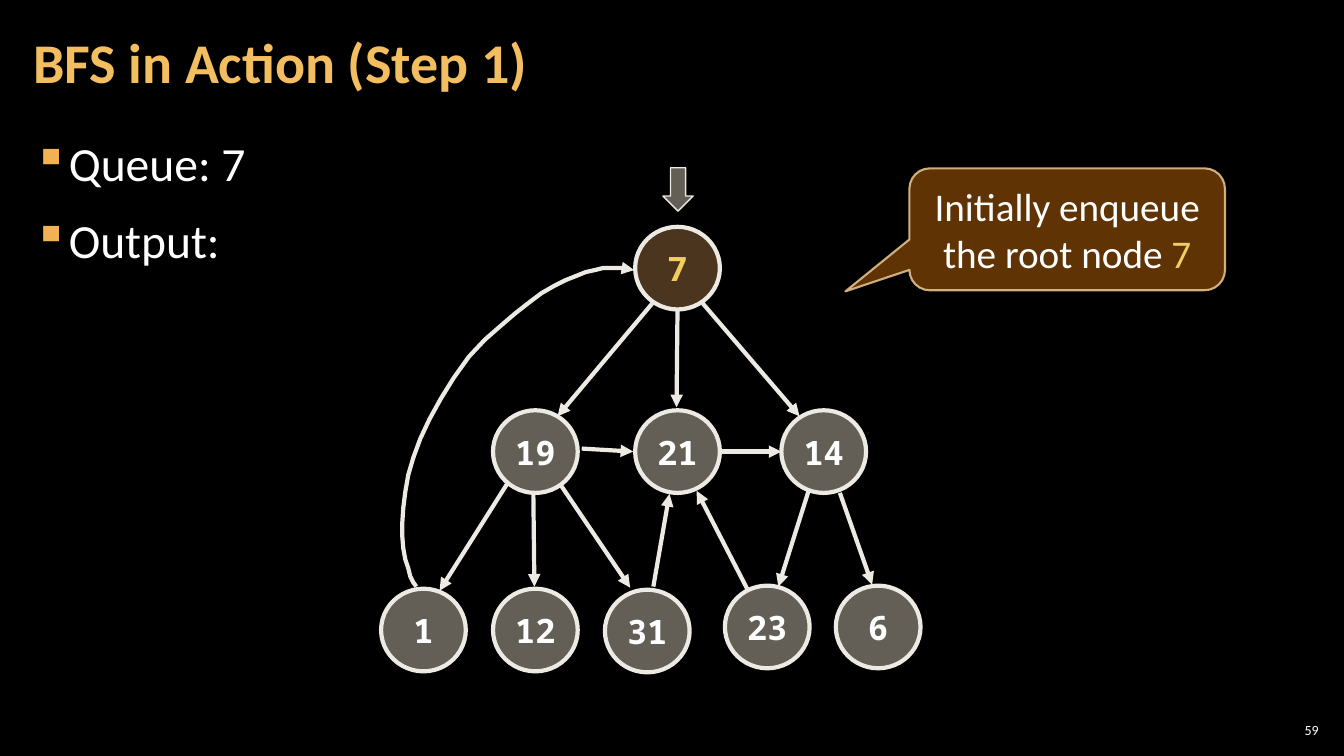
from lxml.etree import SubElement
from pptx import Presentation
from pptx.dml.color import RGBColor
from pptx.enum.shapes import MSO_CONNECTOR, MSO_SHAPE
from pptx.enum.text import MSO_ANCHOR, PP_ALIGN
from pptx.oxml.ns import qn
from pptx.util import Pt

# Content, lengths in px (100 px to the inch)
TITLE = "BFS in Action (Step 1)"
STATE = ["Queue: 7", "Output:"]
CALLOUT = [("Initially enqueue the root node ", "white"), ("7", "yellow")]
PAGE = "59"
ROOT = "7"
NODES = {  # label: left, top
    "7": (630, 225),
    "19": (489, 407), "21": (630, 407), "14": (775, 407),
    "1": (378, 584), "12": (489, 584), "31": (600, 585),
    "23": (719, 581), "6": (829, 581),
}
EDGES = {  # (parent, child): start and end
    ("7", "19"): (647, 301, 553, 413),
    ("7", "21"): (672, 306, 671, 404),
    ("7", "14"): (697, 301, 793, 413),
    ("19", "21"): (577, 445, 628, 448),
    ("21", "14"): (715, 448, 775, 448),
    ("19", "1"): (503, 480, 436, 586),
    ("19", "12"): (529, 490, 530, 582),
    ("19", "31"): (556, 481, 625, 583),
    ("14", "23"): (802, 487, 772, 582),
    ("14", "6"): (833, 489, 865, 580),
    ("31", "21"): (648, 582, 664, 490),
    ("23", "21"): (741, 584, 691, 487),
}
BACK_EDGE = [  # Bezier curves from node 1 up to the root
    [(413, 582), (398, 565), (376, 467), (465, 354)],
    [(465, 354), (554, 260), (604, 262), (629, 268)],
]
NODE_SIZE = (84, 82)
CURVE_STEPS = 16
COLORS = {
    "black": "000000", "white": "FFFFFF", "gold": "F3BE60", "bullet": "F2B254",
    "yellow": "F3CD60", "brown": "663606", "tan": "F8D49E", "root": "6C4C2C",
    "node": "C7BFAC", "edge": "ECEAE3",
}
SANS, MONO = "Calibri", "Noto Sans Mono"
PX = 9144


def px(*lengths):
    return [length * PX for length in lengths]


def rgb(name):
    return RGBColor.from_string(COLORS[name])


def set_alpha(parent, percent):
    color = next(parent.iter(qn("a:srgbClr")))
    SubElement(color, qn("a:alpha"), val=str(percent * 1000))


def style_font(font, size, color, name=SANS, bold=False):
    font.size, font.name, font.bold = Pt(size), name, bold
    font.color.rgb = rgb(color)


def style_line(line, color, width):
    line.color.rgb = rgb(color)
    line.width = Pt(width)


def add_arrowhead(line):
    SubElement(line.color._xFill.getparent(), qn("a:tailEnd"), type="triangle")


def add_filled(kind, box, fill, alpha, line, width):
    shape = slide.shapes.add_shape(kind, *px(*box))
    shape.shadow.inherit = False
    shape.fill.solid()
    shape.fill.fore_color.rgb = rgb(fill)
    set_alpha(shape.fill._xPr.find(qn("a:solidFill")), alpha)
    style_line(shape.line, line, width)
    return shape


def add_text_frame(box, margin_x, anchor):
    frame = slide.shapes.add_textbox(*px(*box)).text_frame
    frame.word_wrap = True
    frame.vertical_anchor = anchor
    frame.margin_left = frame.margin_right = margin_x * PX
    frame.margin_top = frame.margin_bottom = 4 * PX
    return frame


def curve_point(controls, t):
    weights = ((1 - t) ** 3, 3 * t * (1 - t) ** 2, 3 * t ** 2 * (1 - t), t ** 3)
    return tuple(sum(w * p[axis] for w, p in zip(weights, controls)) for axis in (0, 1))


prs = Presentation()
prs.slide_width, prs.slide_height = px(1333, 750)
slide = prs.slides.add_slide(prs.slide_layouts[6])
slide.background.fill.solid()
slide.background.fill.fore_color.rgb = rgb("black")

# Page number
number = add_text_frame((1265, 714, 47, 21), 4, MSO_ANCHOR.MIDDLE).paragraphs[0]
number.text = PAGE
number.alignment = PP_ALIGN.RIGHT
style_font(number.font, 10, "white")

# Queue and output
state_frame = add_text_frame((21, 126, 1291, 609), 12, MSO_ANCHOR.TOP)
for index, entry in enumerate(STATE):
    item = state_frame.add_paragraph() if index else state_frame.paragraphs[0]
    item.text = entry
    properties = item._p.get_or_add_pPr()
    properties.set("marL", str(33 * PX))
    properties.set("indent", str(-33 * PX))
    bullet_color = SubElement(properties, qn("a:buClr"))
    SubElement(bullet_color, qn("a:srgbClr"), val=COLORS["bullet"])
    SubElement(properties, qn("a:buChar"), char="▪")
    item.line_spacing = 1.05
    item.space_before = Pt(6 if index else 0)
    item.space_after = Pt(6)
    style_font(item.font, 34, "white")

# Title
title = add_text_frame((21, 4, 1047, 121), 12, MSO_ANCHOR.MIDDLE).paragraphs[0]
title.text = TITLE
title.line_spacing = 0.9
style_font(title.font, 40, "gold", bold=True)

# Callout
callout = add_filled(MSO_SHAPE.ROUNDED_RECTANGULAR_CALLOUT, (902, 167, 313, 121),
                     "brown", 95, "tan", 1.5)
set_alpha(callout.line.color._xFill, 80)
for index, value in enumerate((-0.703, 0.509, 0.167)):
    callout.adjustments[index] = value
callout.text_frame.word_wrap = True
callout.text_frame.vertical_anchor = MSO_ANCHOR.MIDDLE
message = callout.text_frame.paragraphs[0]
message.alignment = PP_ALIGN.CENTER
for words, color in CALLOUT:
    run = message.add_run()
    run.text = words
    style_font(run.font, 28, color)

# Nodes
for label, corner in NODES.items():
    fill, alpha, color = ("root", 70, "yellow") if label == ROOT else ("node", 50, "white")
    node = add_filled(MSO_SHAPE.OVAL, corner + NODE_SIZE, fill, alpha, "edge", 3)
    node.text_frame.word_wrap = False
    node.text_frame.vertical_anchor = MSO_ANCHOR.MIDDLE
    key = node.text_frame.paragraphs[0]
    key.text = label
    key.alignment = PP_ALIGN.CENTER
    style_font(key.font, 24, color, MONO, bold=True)

# Edges
for ends in EDGES.values():
    edge = slide.shapes.add_connector(MSO_CONNECTOR.STRAIGHT, *px(*ends))
    style_line(edge.line, "edge", 3)
    add_arrowhead(edge.line)
    SubElement(edge._element.spPr, qn("a:effectLst"))

# Edge from node 1 back to the root
points = [curve_point(controls, step / CURVE_STEPS)
          for controls in BACK_EDGE for step in range(1, CURVE_STEPS + 1)]
builder = slide.shapes.build_freeform(*BACK_EDGE[0][0], scale=PX)
builder.add_line_segments(points, close=False)
back_edge = builder.convert_to_shape()
back_edge.shadow.inherit = False
back_edge.fill.background()
style_line(back_edge.line, "edge", 3)
add_arrowhead(back_edge.line)

# Pointer to the current node
pointer = add_filled(MSO_SHAPE.RIGHT_ARROW, (651, 173, 43, 30), "node", 50, "edge", 1)
pointer.rotation = 90

prs.save("out.pptx")
